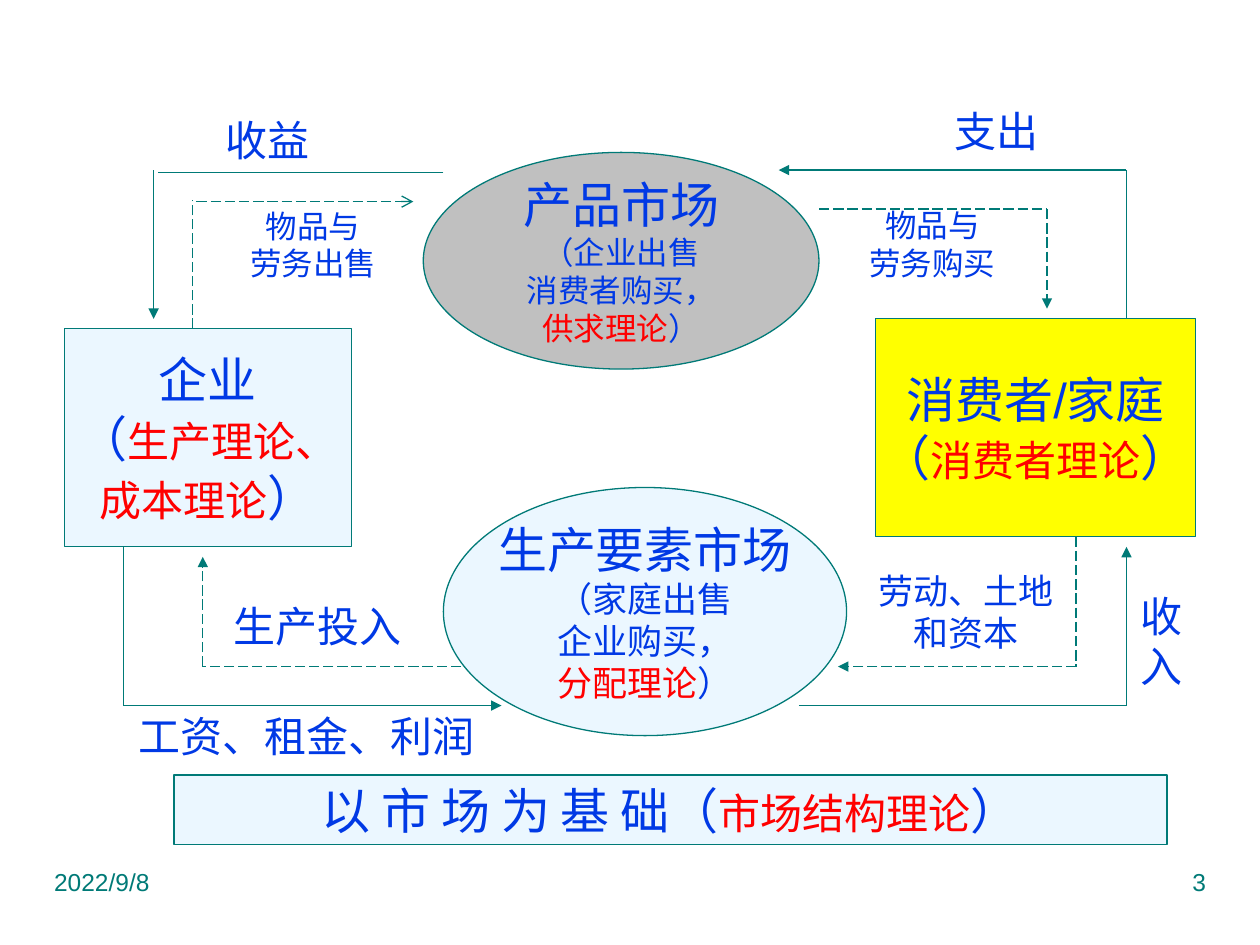
from typing import NamedTuple

from pptx import Presentation
from pptx.dml.color import RGBColor
from pptx.enum import dml, shapes, text
from pptx.oxml.ns import qn
from pptx.util import Pt
from lxml import etree

TEAL, BLUE, RED = "007A77", "0039E5", "FF0000"
PALE, GRAY, YELLOW = "EBF7FF", "C0C0C0", "FFFF00"
RECTANGLE, OVAL = shapes.MSO_SHAPE.RECTANGLE, shapes.MSO_SHAPE.OVAL


class Run(NamedTuple):
    text: str
    size: float
    color: str = BLUE


class Box(NamedTuple):
    left: float
    top: float
    width: float
    height: float


class Node(NamedTuple):
    kind: shapes.MSO_SHAPE
    box: Box
    fill: str
    paragraphs: list[list[Run]]


class Label(NamedTuple):
    box: Box
    size: float
    lines: list[str]


class Flow(NamedTuple):
    """A path of straight segments; the last one may carry an arrowhead."""
    points: list[tuple[float, float]]
    dashed: bool = False
    head: str = "triangle"


NODES = [
    Node(OVAL, Box(253.4, 278.6, 230.4, 141.8), PALE, [
        [Run("生产要素市场", 28)], [Run("（家庭出售", 20)], [Run("企业购买，", 20)],
        [Run("分配理论", 20, RED), Run("）", 20)]]),
    Node(OVAL, Box(241.9, 87.1, 226.1, 123.8), GRAY, [
        [Run("产品市场", 28)], [Run("（企业出售", 18)], [Run("消费者购买，", 18)],
        [Run("供求理论", 18, RED), Run("）", 18)]]),
    Node(RECTANGLE, Box(36.7, 187.9, 164.2, 124.6), PALE, [
        [Run("企业", 28)],
        [Run("（", 28), Run("生产理论、", 24, RED)],
        [Run("成本理论", 24, RED), Run("）", 28)]]),
    Node(RECTANGLE, Box(500.4, 182.2, 182.9, 124.6), YELLOW, [
        [Run("消费者/家庭", 28)],
        [Run("（", 28), Run("消费者理论", 24, RED), Run("）", 28)]]),
    Node(RECTANGLE, Box(99.4, 442.8, 567.4, 39.6), PALE, [
        [Run("以 市 场 为 基 础（", 28), Run("市场结构理论", 24, RED), Run("）", 28)]]),
]

LABELS = [
    Label(Box(529.9, 57.6, 79.2, 33.8), 24, ["支出"]),
    Label(Box(649.4, 340.6, 28.1, 51.1), 24, ["收", "入"]),
    Label(Box(121.7, 68.4, 62.6, 23), 24, ["收益"]),
    Label(Box(75.4, 409, 200, 22.3), 24, ["工资、租金、利润"]),
    Label(Box(129.4, 346.3, 104, 23), 24, ["生产投入"]),
    Label(Box(498.2, 335.5, 108, 28.1), 20, ["劳动、土地", "和资本"]),
    Label(Box(484.6, 125.3, 96.5, 28.1), 18, ["物品与", "劳务购买"]),
    Label(Box(127.4, 119.5, 103, 40.3), 18, ["物品与", "劳务出售"]),
]

FLOWS = [
    Flow([(643.7, 182.2), (643.7, 97.2), (445, 97.2)]),
    Flow([(468, 119.5), (598.3, 119.5), (598.3, 176.4)], dashed=True),
    Flow([(456.5, 403.2), (643.7, 403.2), (643.7, 312.5)]),
    Flow([(253.4, 98.6), (90, 98.6)], head=""),
    Flow([(87.8, 97.2), (87.8, 182.2)]),
    Flow([(70.6, 312.5), (70.6, 403.2), (286.6, 403.2)]),
    Flow([(263.5, 380.9), (115.9, 380.9), (115.9, 318.2)], dashed=True),
    Flow([(614.9, 306.7), (614.9, 380.9), (478.8, 380.9)], dashed=True),
    Flow([(110.2, 187.9), (110.2, 114.5)], dashed=True, head=""),
    Flow([(112.3, 115.2), (236.2, 115.2)], dashed=True, head="arrow"),
]


def rgb(color: str) -> RGBColor:
    return RGBColor.from_string(color)


def points(values) -> list[Pt]:
    return [Pt(value) for value in values]


def write(shape, paragraphs: list[list[Run]], *, align=text.PP_ALIGN.CENTER,
          anchor=text.MSO_ANCHOR.MIDDLE, wrap: bool = False) -> None:
    frame = shape.text_frame
    frame.word_wrap = wrap
    frame.vertical_anchor = anchor
    for index, runs in enumerate(paragraphs):
        paragraph = frame.add_paragraph() if index else frame.paragraphs[0]
        paragraph.alignment = align
        for item in runs:
            run = paragraph.add_run()
            run.text = item.text
            run.font.name = "Arial"
            run.font.size = Pt(item.size)
            run.font.color.rgb = rgb(item.color)


def draw_node(slide, node: Node) -> None:
    shape = slide.shapes.add_shape(node.kind, *points(node.box))
    shape.shadow.inherit = False
    shape.fill.solid()
    shape.fill.fore_color.rgb = rgb(node.fill)
    shape.line.color.rgb = rgb(TEAL)
    shape.line.width = Pt(0.75)
    write(shape, node.paragraphs)


def draw_label(slide, label: Label) -> None:
    shape = slide.shapes.add_textbox(*points(label.box))
    frame = shape.text_frame
    frame.margin_left = frame.margin_right = Pt(0)
    frame.margin_top = frame.margin_bottom = Pt(0)
    write(shape, [[Run(line, label.size)] for line in label.lines], wrap=True)


def draw_flow(slide, flow: Flow) -> None:
    for start, end in zip(flow.points, flow.points[1:]):
        connector = slide.shapes.add_connector(
            shapes.MSO_CONNECTOR.STRAIGHT, *points(start + end))
        connector.line.color.rgb = rgb(TEAL)
        connector.line.width = Pt(0.75)
        if flow.dashed:
            connector.line.dash_style = dml.MSO_LINE.LONG_DASH
        if flow.head and end == flow.points[-1]:
            outline = connector.line._get_or_add_ln()
            etree.SubElement(outline, qn("a:tailEnd"), type=flow.head)
        etree.SubElement(connector._element.spPr, qn("a:effectLst"))


def draw_footer(slide, left: float, words: str, align) -> None:
    shape = slide.shapes.add_textbox(*points((left, 491.8, 180, 37.4)))
    write(shape, [[Run(words, 14, TEAL)]], align=align,
          anchor=text.MSO_ANCHOR.TOP, wrap=True)


def main() -> None:
    presentation = Presentation()
    presentation.slide_width, presentation.slide_height = Pt(720), Pt(540)
    slide = presentation.slides.add_slide(presentation.slide_layouts[6])
    draw_footer(slide, 23.8, "2022/9/8", text.PP_ALIGN.LEFT)
    draw_footer(slide, 516.2, "3", text.PP_ALIGN.RIGHT)
    for node in NODES:
        draw_node(slide, node)
    for flow in FLOWS:
        draw_flow(slide, flow)
    for label in LABELS:
        draw_label(slide, label)
    presentation.save("out.pptx")


if __name__ == "__main__":
    main()
